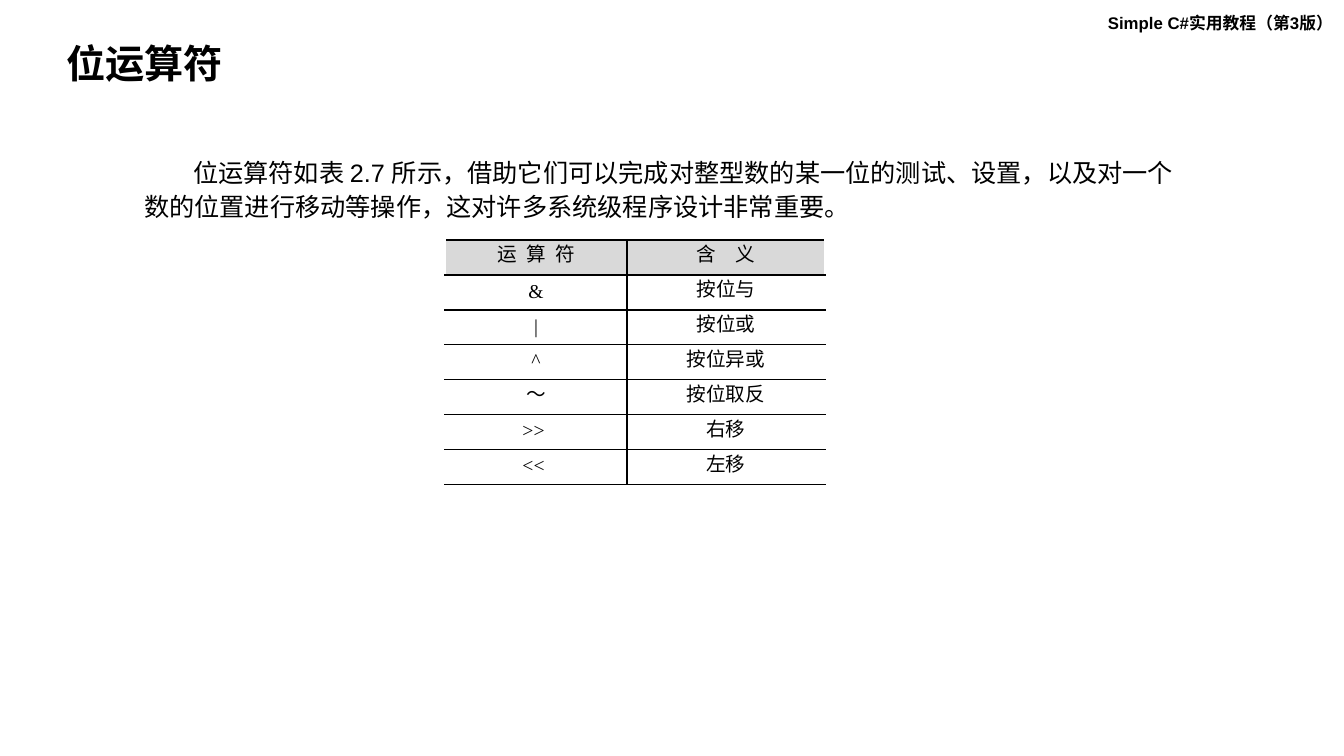
from dataclasses import dataclass

from lxml.etree import SubElement
from pptx import Presentation
from pptx.dml.color import RGBColor
from pptx.enum.text import MSO_ANCHOR, MSO_AUTO_SIZE, PP_ALIGN
from pptx.oxml.ns import qn
from pptx.util import Pt

PX = 914400 / 100.8


@dataclass(frozen=True)
class Theme:
    """Colours, fonts and type sizes of the slide."""
    ink: str = "000000"
    header_fill: str = "D9D9D9"
    sans: str = "Arial"
    serif: str = "Times New Roman"
    title_size: int = 28
    body_size: int = 18
    table_size: int = 14
    label_size: int = 12
    rule_width: int = 1


THEME = Theme()
BOOK = "Simple C#实用教程（第3版）"
TITLE = "位运算符"
INTRO = ("位运算符如表 2.7 所示，借助它们可以完成对整型数的某一位的测试、设置，"
         "以及对一个数的位置进行移动等操作，这对许多系统级程序设计非常重要。")
OPERATORS = [
    ("运 算 符", "含 义"),
    ("&", "按位与"),
    ("|", "按位或"),
    ("^", "按位异或"),
    ("～", "按位取反"),
    (">> ", "右移"),
    ("<< ", "左移"),
]
HEADER_TRACKING = (175, 525)
COLUMN_WIDTHS = (182, 198)
ROW_HEIGHT = 35


def px(length):
    """Turn a length in px into EMU."""
    return round(length * PX)


def apply(target, values):
    """Set each named attribute on the target."""
    for name, value in values.items():
        setattr(target, name, value)


def place(shape, left, top, width, height):
    """Move and size a shape in px."""
    apply(shape, {"left": px(left), "top": px(top),
                  "width": px(width), "height": px(height)})


def write(frame, text, size, font=THEME.sans, bold=False, **layout):
    """Write one formatted paragraph and return its span."""
    para = frame.paragraphs[0]
    apply(para, {"alignment": PP_ALIGN.LEFT, "space_before": Pt(0), **layout})
    span = para.add_run()
    span.text = text
    apply(span.font, {"name": font, "size": Pt(size), "bold": bold})
    span.font.color.rgb = RGBColor.from_string(THEME.ink)
    return span


def fill_box(box, bounds, text, size, anchor=MSO_ANCHOR.TOP, **style):
    """Place a text shape and write its paragraph."""
    place(box, *bounds)
    apply(box.text_frame, {"word_wrap": True, "auto_size": MSO_AUTO_SIZE.NONE,
                           "vertical_anchor": anchor})
    write(box.text_frame, text, size, **style)


def indent_first_line(box, indent):
    """Remove the bullet and indent the first line."""
    properties = box.text_frame.paragraphs[0]._p.get_or_add_pPr()
    for name, value in {"marL": 0, "indent": px(indent)}.items():
        properties.set(name, str(value))
    SubElement(properties, qn("a:buNone"))


def add_border(cell, side):
    """Draw a solid rule on one side of a cell."""
    line = SubElement(cell._tc.get_or_add_tcPr(), qn(f"a:ln{side}"),
                      w=str(Pt(THEME.rule_width)))
    paint = SubElement(line, qn("a:solidFill"))
    SubElement(paint, qn("a:srgbClr"), val=THEME.ink)


def format_cell(cell, text, sides, is_header):
    """Write, rule and fill one table cell."""
    apply(cell, {"margin_left": px(7), "margin_right": px(7),
                 "margin_top": 0, "margin_bottom": 0,
                 "vertical_anchor": MSO_ANCHOR.MIDDLE})
    for side in sides:
        add_border(cell, side)
    if is_header:
        cell.fill.solid()
        cell.fill.fore_color.rgb = RGBColor.from_string(THEME.header_fill)
    else:
        cell.fill.background()
    return write(cell.text_frame, text, THEME.table_size, font=THEME.serif,
                 alignment=PP_ALIGN.CENTER, line_spacing=Pt(THEME.table_size))


def add_operator_table(page, left, top):
    """Add the table of operators and their meanings."""
    table = page.shapes.add_table(
        len(OPERATORS), len(COLUMN_WIDTHS), px(left), px(top),
        px(sum(COLUMN_WIDTHS)), px(ROW_HEIGHT * len(OPERATORS))).table
    apply(table, {"first_row": False, "horz_banding": False})
    for column, width in zip(table.columns, COLUMN_WIDTHS):
        column.width = px(width)
    for row_index, values in enumerate(OPERATORS):
        table.rows[row_index].height = px(ROW_HEIGHT)
        for column_index, text in enumerate(values):
            sides = ("RTB", "LTB")[column_index]
            span = format_cell(table.cell(row_index, column_index), text,
                               sides, row_index == 0)
            if row_index == 0:
                tracking = str(HEADER_TRACKING[column_index])
                span._r.get_or_add_rPr().set("spc", tracking)


def main():
    """Build the slide and save the deck."""
    deck = Presentation()
    apply(deck, {"slide_width": px(1344), "slide_height": px(756)})
    page = deck.slides.add_slide(deck.slide_layouts[1])
    label = page.shapes.add_textbox(0, 0, 0, 0)
    fill_box(label, (1098, 8, 246, 30), BOOK, THEME.label_size, bold=True)
    fill_box(page.shapes.title, (56, 40, 344, 52), TITLE, THEME.title_size,
             anchor=MSO_ANCHOR.MIDDLE, bold=True, line_spacing=0.9)
    intro = page.placeholders[1]
    indent_first_line(intro, 49)
    fill_box(intro, (134, 148, 1073, 72), INTRO, THEME.body_size,
             line_spacing=1.13)
    add_operator_table(page, 445, 240)
    deck.save("out.pptx")


if __name__ == "__main__":
    main()
